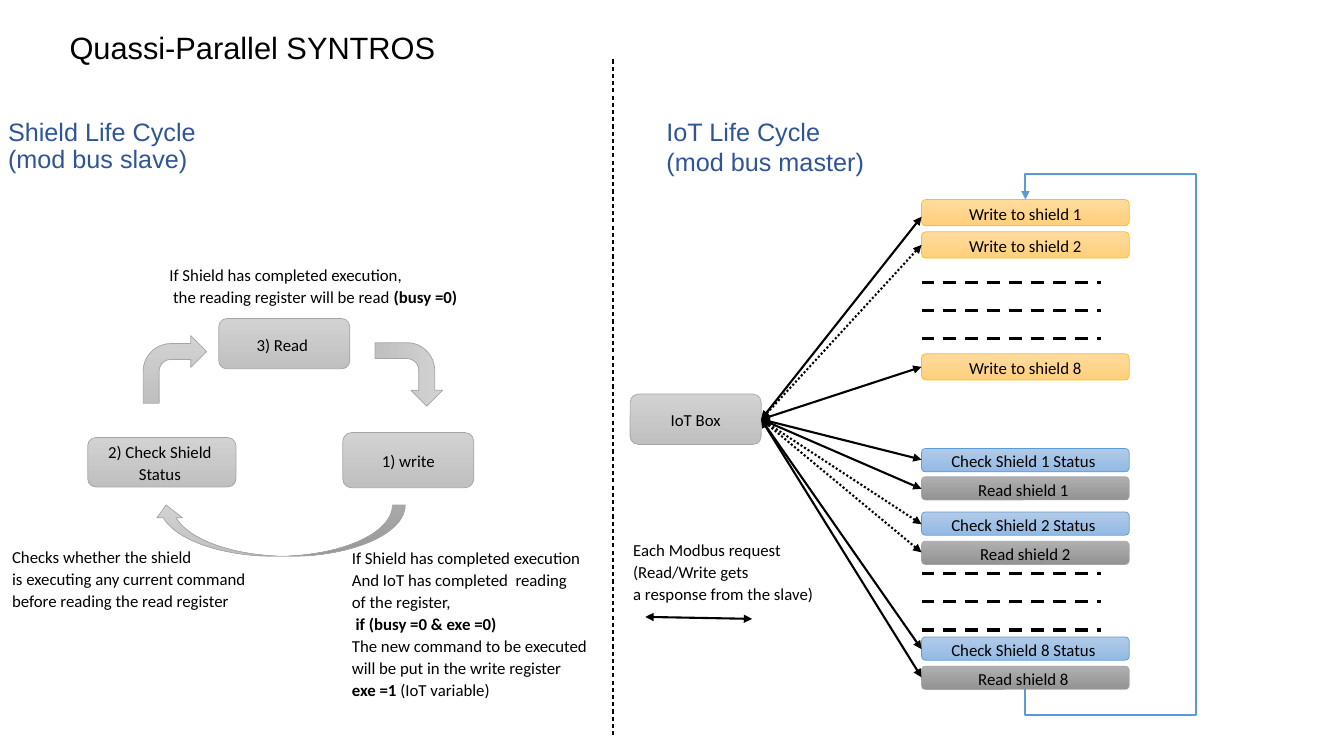
from dataclasses import dataclass

from lxml import etree
from pptx import Presentation
from pptx.dml.color import RGBColor
from pptx.enum.dml import MSO_LINE
from pptx.enum.shapes import MSO_CONNECTOR, MSO_SHAPE
from pptx.enum.text import MSO_ANCHOR, PP_ALIGN
from pptx.oxml.ns import qn
from pptx.util import Pt

PX = 9144  # EMU in one px, 100 px to the inch
STRAIGHT = MSO_CONNECTOR.STRAIGHT
ROUND_RECT = MSO_SHAPE.ROUNDED_RECTANGLE
BENT_ARROW = MSO_SHAPE.BENT_ARROW
CURVED_UP_ARROW = MSO_SHAPE.CURVED_UP_ARROW
DASH, DOT = MSO_LINE.DASH, MSO_LINE.ROUND_DOT
LEFT, CENTER = PP_ALIGN.LEFT, PP_ALIGN.CENTER
TOP, MIDDLE = MSO_ANCHOR.TOP, MSO_ANCHOR.MIDDLE


@dataclass(frozen=True)
class Theme:
    ink: str = "000000"
    heading: str = "2F5597"
    blue: str = "5B9BD5"
    # gradient top, gradient bottom, outline
    silver: tuple = ("D2D2D2", "C0C0C0", "A5A5A5")
    grey: tuple = ("AFAFAF", "939393", "A5A5A5")
    gold: tuple = ("FFDB9E", "FFD07C", "FFC000")
    sky: tuple = ("B1CBE9", "93B9E4", "5B9BD5")
    head_font: str = "Arial"
    body_font: str = "Calibri"
    title_size: int = 22
    heading_size: int = 18
    body_size: int = 12


T = Theme()

SLIDE_SIZE = (1333, 750)
SHIELD_HEADING = ("Shield Life Cycle\v(mod bus slave)", (-2, 67, 620, 157))
HEADINGS = [  # lines, box, size, colour
    (["IoT Life Cycle", "(mod bus master)"], (592, 75, 789, 113), T.heading_size, T.heading),
    (["Quassi-Parallel SYNTROS"], (0, 0, 1333, 104), T.title_size, T.ink),
]
HEADING_INSETS = (69, 47, 300, 26)
NODE_INSETS = (12, 6, 12, 6)

NODES = [
    ("2) Check Shield  Status ", (87, 434, 147, 49)),
    ("3) Read ", (217, 316, 130, 50)),
    ("1) write", (340, 429, 130, 55)),
    ("IoT Box", (625, 391, 130, 50)),
]
CYCLE_ARROWS = [  # shape, box, rotation, mirrored
    (CURVED_UP_ARROW, (152, 501, 250, 51), 0, True),
    (BENT_ARROW, (142, 333, 63, 67), 0, False),
    (BENT_ARROW, (374, 338, 63, 67), 90, False),
]
REQUESTS = [  # label, style, top, height, arrow y, arrow dash
    ("Write to shield 1", T.gold, 198, 26, 215, None),
    ("Write to shield 2", T.gold, 230, 26, 243, DOT),
    ("Write to shield 8", T.gold, 351, 26, 364, None),
    ("Check Shield 1 Status ", T.sky, 445, 23, 456, None),
    ("Read shield 1 ", T.grey, 473, 23, 485, None),
    ("Check Shield 2 Status ", T.sky, 508, 23, 520, DOT),
    ("Read shield 2", T.grey, 537, 23, 548, DOT),
    ("Check Shield 8 Status ", T.sky, 632, 23, 644, None),
    ("Read shield 8 ", T.grey, 661, 23, 672, None),
]
REQUEST_LEFT, REQUEST_WIDTH = 914, 206
HUB = (755, 416)
OMITTED_TOPS, OMITTED_COUNT, OMITTED_STEP, OMITTED_WIDTH = (280, 569), 3, 28, 178
DIVIDER = ((608, 59), (608, 729))
LEGEND_ARROW = ((746, 614), (640, 612))
LOOP = [(1017, 684), (1017, 709), (1186, 709), (1186, 173), (1017, 173), (1017, 198)]

# a paragraph is plain text or a list of (text, bold) runs
NOTES = [
    (["Each Modbus request", "(Read/Write gets", "a response from the slave)"],
     (628, 533, 236, 109)),
    (["If Shield has completed execution,",
      [(" the reading register will be read ", False), ("(busy =0)", True)]],
     (168, 261, 381, 79)),
    (["If Shield has completed execution",
      "And IoT has completed  reading",
      "of the register,",
      [(" if (busy =0 & exe =0)", True)],
      "The new command to be executed",
      "will be put in the write register",
      [("exe =1 ", True), ("(IoT variable)", False)]],
     (349, 541, 313, 156)),
    (["Checks whether the shield",
      "is executing any current command",
      "before reading the read register"],
     (12, 540, 240, 93)),
]


def emu(lengths):
    return [v * PX for v in lengths]


def rgb(value):
    return RGBColor.from_string(value)


def write(tf, paragraphs, font=T.body_font, size=T.body_size, color=T.ink, align=LEFT,
          anchor=TOP, spacing=1.1, insets=(0, 0, 0, 0)):
    tf.word_wrap = True
    tf.vertical_anchor = anchor
    tf.margin_left, tf.margin_top, tf.margin_right, tf.margin_bottom = emu(insets)
    for i, runs in enumerate(paragraphs):
        p = tf.add_paragraph() if i else tf.paragraphs[0]
        p.alignment, p.line_spacing = align, spacing
        p.space_before = p.space_after = Pt(0)
        for text, bold in [(runs, False)] if isinstance(runs, str) else runs:
            for j, part in enumerate(text.split("\v")):
                if j:
                    p.add_line_break()
                r = p.add_run()
                r.text = part
                r.font.name, r.font.size, r.font.bold = font, Pt(size), bold
                r.font.color.rgb = rgb(color)


def add_gradient_shape(slide, kind, box, style):
    sp = slide.shapes.add_shape(kind, *emu(box))
    sp.shadow.inherit = False
    sp.fill.gradient()
    sp.fill.gradient_angle = 270
    for stop, color in zip(sp.fill.gradient_stops, style):
        stop.color.rgb = rgb(color)
    sp.line.color.rgb = rgb(style[2])
    sp.line.width = Pt(0.5)
    return sp


def add_node(slide, text, box, style=T.silver):
    sp = add_gradient_shape(slide, ROUND_RECT, box, style)
    write(sp.text_frame, [text], align=CENTER, anchor=MIDDLE, insets=NODE_INSETS)


def style_line(sp, color, width, dash=None, ends=()):
    sp.line.color.rgb = rgb(color)
    sp.line.width = Pt(width)
    if dash:
        sp.line.dash_style = dash
    ln = sp.line._get_or_add_ln()
    for end in ends:
        etree.SubElement(ln, qn("a:" + end), type="triangle")


def add_line(slide, start, finish, width, dash=None, ends=()):
    cx = slide.shapes.add_connector(STRAIGHT, *emu(start + finish))
    style_line(cx, T.ink, width, dash, ends)
    etree.SubElement(cx.element.spPr, qn("a:effectLst"))


def add_loop(slide, points):
    builder = slide.shapes.build_freeform(*points[0], scale=PX)
    builder.add_line_segments(points[1:], close=False)
    sp = builder.convert_to_shape()
    sp.shadow.inherit = False
    sp.fill.background()
    style_line(sp, T.blue, 1.5, ends=["tailEnd"])


def main():
    prs = Presentation()
    prs.slide_width, prs.slide_height = emu(SLIDE_SIZE)
    slide = prs.slides.add_slide(prs.slide_layouts[5])
    both = ["headEnd", "tailEnd"]

    title = slide.shapes.title
    text, box = SHIELD_HEADING
    title.left, title.top, title.width, title.height = emu(box)
    write(title.text_frame, [text], font=T.head_font, size=T.heading_size, color=T.heading,
          anchor=MIDDLE, spacing=0.9, insets=(10, 5, 10, 5))

    for lines, box, size, color in HEADINGS:
        tb = slide.shapes.add_textbox(*emu(box))
        write(tb.text_frame, lines, font=T.head_font, size=size, color=color,
              spacing=1.0, insets=HEADING_INSETS)

    add_line(slide, *DIVIDER, 0.75, DASH)
    for text, box in NODES:
        add_node(slide, text, box)
    for kind, box, rotation, mirrored in CYCLE_ARROWS:
        sp = add_gradient_shape(slide, kind, box, T.silver)
        sp.rotation = rotation
        if mirrored:
            sp.element.spPr.get_or_add_xfrm().set("flipH", "1")

    for text, style, top, height, _, _ in REQUESTS:
        add_node(slide, text, (REQUEST_LEFT, top, REQUEST_WIDTH, height), style)
    for top in OMITTED_TOPS:
        for i in range(OMITTED_COUNT):
            y = top + i * OMITTED_STEP
            add_line(slide, (REQUEST_LEFT, y), (REQUEST_LEFT + OMITTED_WIDTH, y), 2.25, DASH)
    for *_, y, dash in REQUESTS:
        add_line(slide, (REQUEST_LEFT, y), HUB, 1.5, dash, both)

    add_line(slide, *LEGEND_ARROW, 1.5, ends=both)
    for paragraphs, box in NOTES:
        write(slide.shapes.add_textbox(*emu(box)).text_frame, paragraphs)
    add_loop(slide, LOOP)
    prs.save("out.pptx")


if __name__ == "__main__":
    main()
